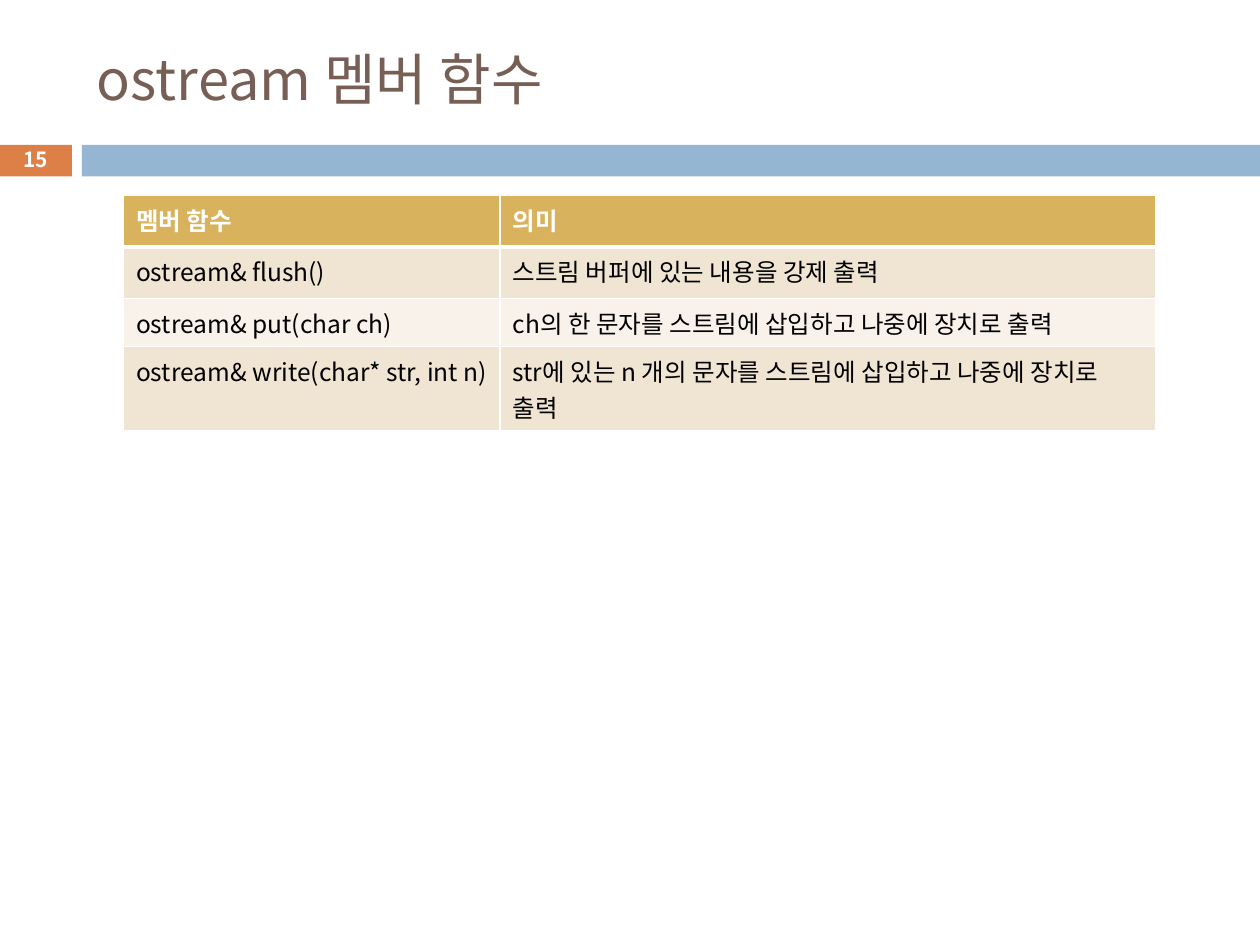
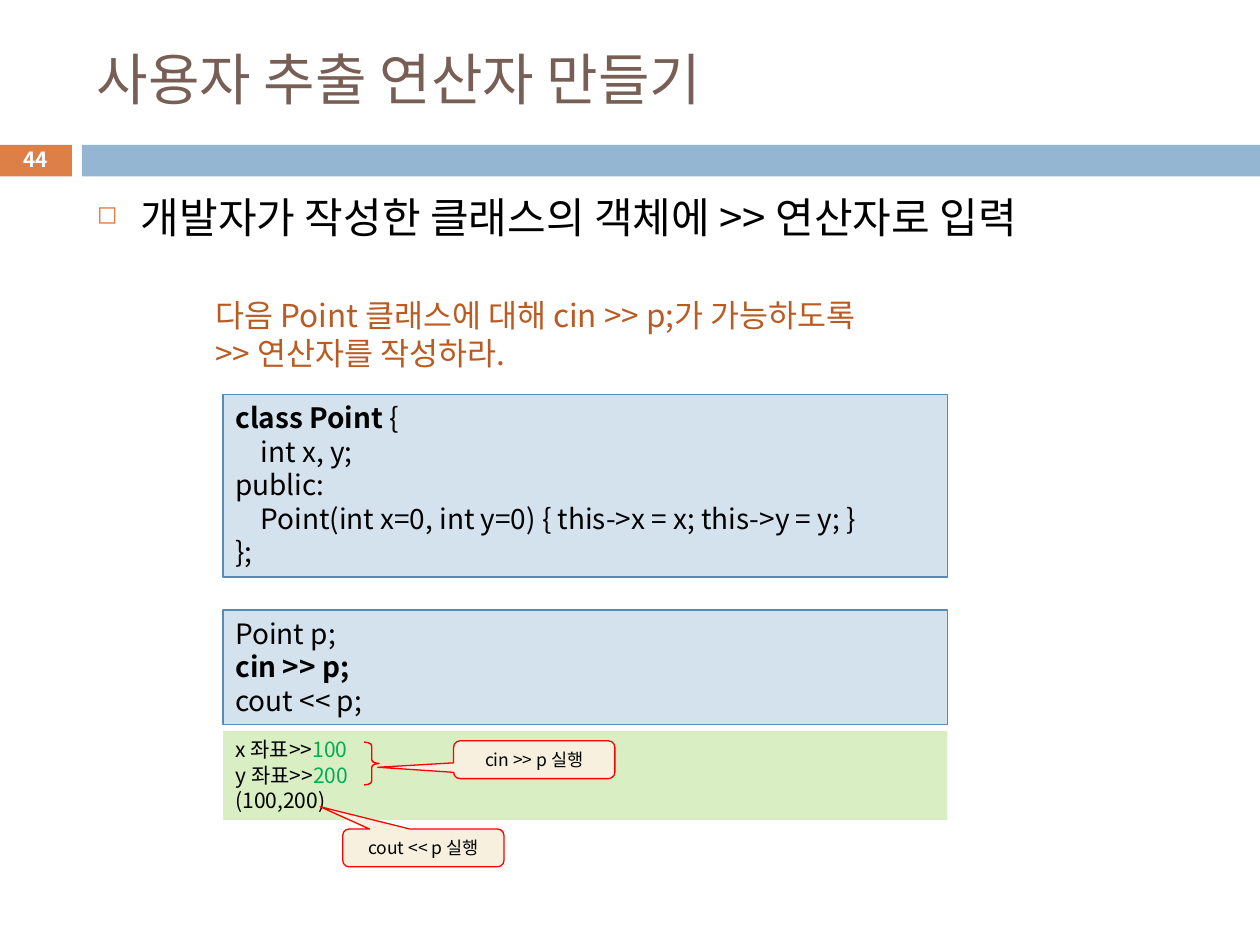
from lxml.etree import SubElement as Sub
from pptx import Presentation
from pptx.dml.color import RGBColor as Rgb
from pptx.enum.shapes import MSO_SHAPE as Kind
from pptx.enum.text import MSO_ANCHOR as Anchor, PP_ALIGN as Align
from pptx.oxml.ns import qn
from pptx.util import Inches, Pt

FONT = "Noto Sans CJK KR"
HUES = {
    "title": "775F55", "badge": "DD8047", "band": "94B6D2",
    "white": "FFFFFF", "black": "000000", "task": "B95B22",
    "head": "D8B25C", "odd": "F0E4D2", "even": "F8F2EA",
    "code": "D4E2ED", "edge": "558BB8", "output": "DAEEC4",
    "input": "00B050", "note": "F7F0DE", "red": "FF0000",
}


def hue(name):
    """Return the named colour."""
    return Rgb.from_string(HUES[name])


def add_run(para, text, size, color="black", bold=False):
    """Add one styled run to a paragraph."""
    run = para.add_run()
    run.text = text
    font = run.font
    font.size, font.bold, font.name = Pt(size), bold, FONT
    font.color.rgb = hue(color)
    Sub(run._r.get_or_add_rPr(), qn("a:ea"), typeface=FONT)


def add_tab(para):
    """Give a code paragraph its indent stop."""
    tabs = Sub(para._p.get_or_add_pPr(), qn("a:tabLst"))
    Sub(tabs, qn("a:tab"), pos=str(Inches(0.2)), algn="l")


def add_bullet(para):
    """Give a paragraph the hollow square bullet."""
    props = para._p.get_or_add_pPr()
    props.set("marL", str(Inches(0.35)))
    props.set("indent", str(-Inches(0.35)))
    Sub(Sub(props, qn("a:buClr")), qn("a:srgbClr"), val=HUES["badge"])
    Sub(props, qn("a:buSzPct"), val="60000")
    Sub(props, qn("a:buChar"), char="◻")


def write(shape, lines, size, color="black", bold=False, align=Align.LEFT,
          anchor=Anchor.TOP, mark=None):
    """Write lines, each a list of (text, color, bold) runs or a string."""
    frame = shape.text_frame
    frame.word_wrap = True
    frame.vertical_anchor = anchor
    for i, line in enumerate(lines):
        para = frame.add_paragraph() if i else frame.paragraphs[0]
        para.alignment = align
        if mark:
            mark(para)
        runs = [(line, color, bold)] if isinstance(line, str) else line
        for text, tone, heavy in runs:
            add_run(para, text, size, tone, heavy)


def add_text(slide, box, lines, size, **style):
    """Add a text box."""
    shape = slide.shapes.add_textbox(*map(Inches, box))
    write(shape, lines, size, **style)


def add_form(slide, kind, box, fill=None, line=None, width=0.75, adjust=()):
    """Add a preset shape without shadow."""
    shape = slide.shapes.add_shape(kind, *map(Inches, box))
    shape.shadow.inherit = False
    if fill:
        shape.fill.solid()
        shape.fill.fore_color.rgb = hue(fill)
    else:
        shape.fill.background()
    if line:
        shape.line.color.rgb = hue(line)
        shape.line.width = Pt(width)
    else:
        shape.line.fill.background()
    for i, value in enumerate(adjust):
        shape.adjustments[i] = value
    return shape


def add_code(slide, top, height, lines):
    """Add a framed code panel."""
    panel = add_form(slide, Kind.RECTANGLE, (1.77, top, 5.75, height), "code", "edge")
    write(panel, lines, 16, mark=add_tab)


def add_note(slide, left, top, text, tip):
    """Add a red callout whose tip is given in shares of its size."""
    note = add_form(slide, Kind.ROUNDED_RECTANGULAR_CALLOUT, (left, top, 1.28, 0.3),
                    "note", "red", adjust=(*tip, 0.17))
    write(note, [text], 10, align=Align.CENTER, anchor=Anchor.MIDDLE)


def add_edges(cell, head):
    """Draw white cell borders, thicker below the header."""
    props = cell._tc.get_or_add_tcPr()
    for side in "LRTB":
        width = 3 if head and side == "B" else 1
        edge = Sub(props, qn(f"a:ln{side}"), w=str(Pt(width)))
        Sub(Sub(edge, qn("a:solidFill")), qn("a:srgbClr"), val=HUES["white"])


def add_grid(slide, rows, widths, heights):
    """Add the table of member functions."""
    grid = slide.shapes.add_table(
        len(rows), len(widths), Inches(0.98), Inches(1.55),
        Inches(sum(widths)), Inches(sum(heights))).table
    for col, width in zip(grid.columns, widths):
        col.width = Inches(width)
    for i, (row, height) in enumerate(zip(rows, heights)):
        grid.rows[i].height = Inches(height)
        head = i == 0
        fill = "head" if head else "odd" if i % 2 else "even"
        for j, text in enumerate(row):
            cell = grid.cell(i, j)
            add_edges(cell, head)
            cell.fill.solid()
            cell.fill.fore_color.rgb = hue(fill)
            write(cell, [text], 14, "white" if head else "black", head)


def add_page(deck, title, number):
    """Add a blank slide with the shared bands, title and number."""
    slide = deck.slides.add_slide(deck.slide_layouts[6])
    add_form(slide, Kind.RECTANGLE, (-0.01, 1.15, 0.58, 0.25), "badge")
    add_form(slide, Kind.RECTANGLE, (0.65, 1.15, 9.35, 0.25), "band")
    add_text(slide, (0.67, 0.25, 8.92, 0.74), [title], 32, color="title",
             anchor=Anchor.MIDDLE)
    add_text(slide, (-0.01, 1.13, 0.58, 0.27), [str(number)], 11.9, color="white",
             bold=True, align=Align.CENTER, anchor=Anchor.MIDDLE)
    return slide


def add_members(deck):
    """Build the slide on ostream members."""
    slide = add_page(deck, "ostream 멤버 함수", 15)
    rows = [
        ("멤버 함수", "의미"),
        ("ostream& flush()", "스트림 버퍼에 있는 내용을 강제 출력"),
        ("ostream& put(char ch)", "ch의 한 문자를 스트림에 삽입하고 나중에 장치로 출력"),
        ("ostream& write(char* str, int n)",
         "str에 있는 n 개의 문자를 스트림에 삽입하고 나중에 장치로 출력"),
    ]
    add_grid(slide, rows, (2.99, 5.2), (0.41, 0.41, 0.38, 0.67))


def add_extract(deck):
    """Build the slide on the extraction operator."""
    slide = add_page(deck, "사용자 추출 연산자 만들기", 44)
    add_text(slide, (0.67, 1.47, 8.92, 5.51),
             ["개발자가 작성한 클래스의 객체에 >> 연산자로 입력"], 24, mark=add_bullet)
    add_code(slide, 3.13, 1.45, [
        [("class Point ", "black", True), ("{", "black", False)],
        "\tint x, y;",
        "public:",
        "\tPoint(int x=0, int y=0) { this->x = x; this->y = y; }",
        "};",
    ])
    add_code(slide, 4.84, 0.91, [
        "Point p;", [("cin >> p;", "black", True)], "cout << p;"])
    add_text(slide, (1.61, 2.3, 6.22, 0.71),
             ["다음 Point 클래스에 대해 cin >> p;가 가능하도록", ">> 연산자를 작성하라."],
             18, color="task")
    output = add_form(slide, Kind.RECTANGLE, (1.77, 5.8, 5.75, 0.71), "output")
    asks = [[(f"{axis} 좌표>>", "black", False), (value, "input", False)]
            for axis, value in (("x", "100"), ("y", "200"))]
    write(output, [*asks, "(100,200)"], 12)
    add_note(slide, 3.6, 5.88, "cin >> p 실행", (-0.97, 0.2))
    add_note(slide, 2.72, 6.58, "cout << p 실행", (-0.64, -1.09))
    add_form(slide, Kind.RIGHT_BRACE, (2.89, 5.89, 0.12, 0.34), None, "red", 0.79,
             (0.25, 0.5))


def main():
    """Build and save the deck."""
    deck = Presentation()
    deck.slide_width, deck.slide_height = Inches(10), Inches(7.5)
    add_members(deck)
    add_extract(deck)
    deck.save("out.pptx")


if __name__ == "__main__":
    main()
